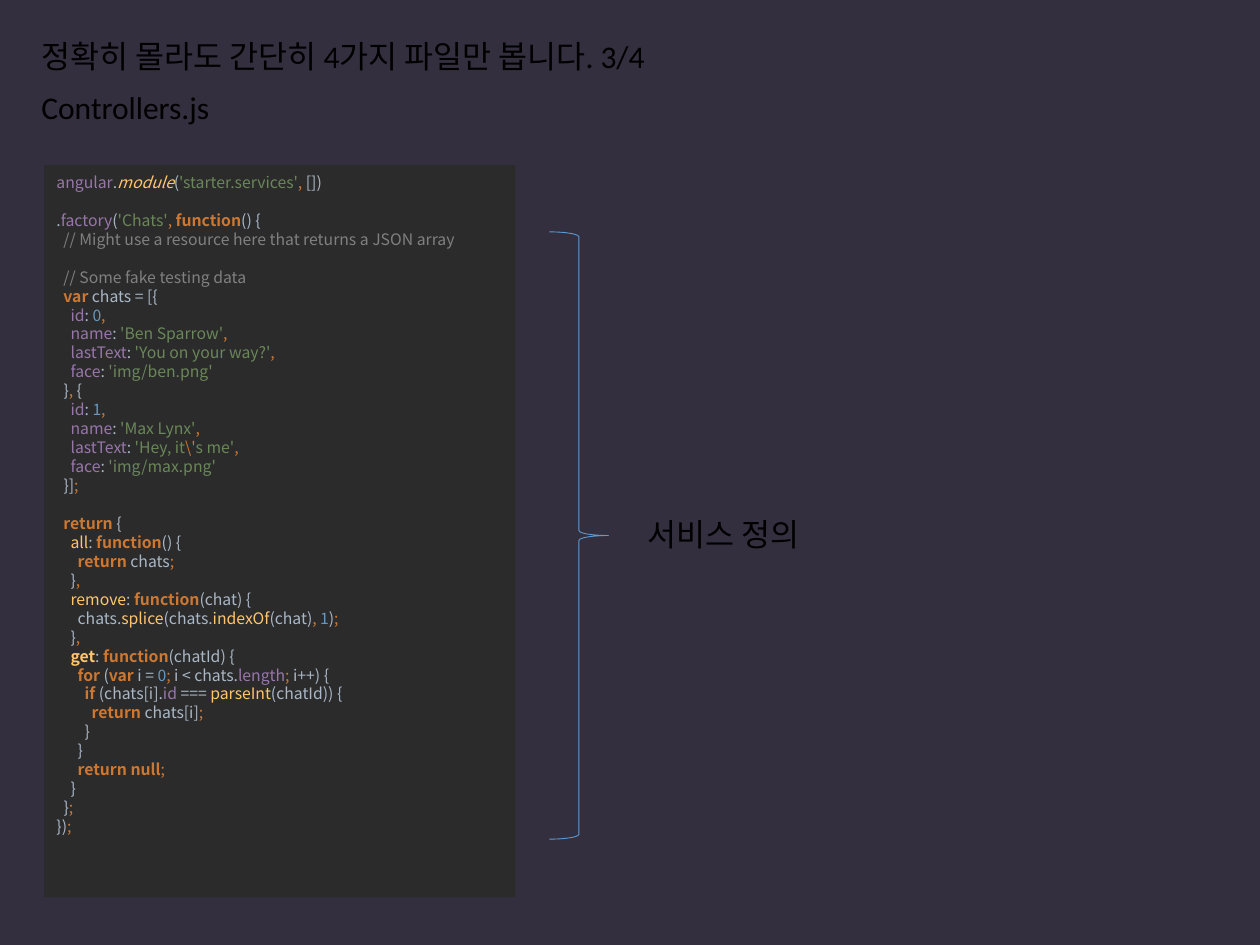
from pptx import Presentation
from pptx.dml.color import RGBColor
from pptx.enum.shapes import MSO_SHAPE
from pptx.enum.text import MSO_ANCHOR, PP_ALIGN
from pptx.util import Inches, Pt

RECTANGLE, RIGHT_BRACE = MSO_SHAPE.RECTANGLE, MSO_SHAPE.RIGHT_BRACE
TOP, LEFT = MSO_ANCHOR.TOP, PP_ALIGN.LEFT
COLUMNS, ROWS = 100, 75
COLORS = {"background": "332F3E", "panel": "2B2B2B", "text": "000000", "brace": "5B9BD5"}

# "~" and a letter switch the style of the code; each line starts plain.
SYNTAX = {
    "p": "9876AA",  # property
    "w": "A9B7C6",  # plain
    "i": "FFC66D",  # italic function
    "f": "FFC66D",  # function
    "g": "FFC66D",  # bold function
    "s": "6A8759",  # string
    "o": "CC7832",  # punctuation
    "k": "CC7832",  # keyword
    "c": "808080",  # comment
    "n": "6897BB",  # number
}
BOLD, ITALIC = "gk", "i"
CODE_LINES = [
    "~pangular~w.~imodule~w(~s'starter.services'~o, ~w[])",
    "",
    ".~pfactory~w(~s'Chats'~o, ~kfunction~w() {",
    "  ~c// Might use a resource here that returns a JSON array",
    "",
    "  ~c// Some fake testing data",
    "  ~kvar ~wchats = [{",
    "    ~pid~w: ~n0~o,",
    "    ~pname~w: ~s'Ben Sparrow'~o,",
    "    ~plastText~w: ~s'You on your way?'~o,",
    "    ~pface~w: ~s'img/ben.png'",
    "  }~o, ~w{",
    "    ~pid~w: ~n1~o,",
    "    ~pname~w: ~s'Max Lynx'~o,",
    r"    ~plastText~w: ~s'Hey, it~o\'~ss me'~o,",
    "    ~pface~w: ~s'img/max.png'",
    "  }]~o;",
    "",
    "  ~kreturn ~w{",
    "    ~fall~w: ~kfunction~w() {",
    "      ~kreturn ~wchats~o;",
    "    }~o,",
    "    ~fremove~w: ~kfunction~w(chat) {",
    "      chats.~fsplice~w(chats.~findexOf~w(chat)~o, ~n1~w)~o;",
    "    }~o,",
    "    ~gget~w: ~kfunction~w(chatId) {",
    "      ~kfor ~w(~kvar ~wi = ~n0~o; ~wi < chats.~plength~o; ~wi++) {",
    "        ~kif ~w(chats[i].~pid ~w=== ~fparseInt~w(chatId)) {",
    "          ~kreturn ~wchats[i]~o;",
    "        }",
    "      }",
    "      ~kreturn null~o;",
    "    }",
    "  }~o;",
    "})~o;",
]

presentation = Presentation()
presentation.slide_width, presentation.slide_height = Inches(10), Inches(7.5)
column = presentation.slide_width // COLUMNS
row = presentation.slide_height // ROWS


def cells(left, top, width, height):
    """Turn grid columns and rows into slide lengths."""
    return [round(left * column), round(top * row), round(width * column), round(height * row)]


def write_label(shape, text, wrap=True):
    text_frame = shape.text_frame
    text_frame.text = text
    text_frame.word_wrap = wrap
    text_frame.vertical_anchor = TOP
    paragraph = text_frame.paragraphs[0]
    paragraph.alignment = LEFT
    font = paragraph.runs[0].font
    font.name, font.size = "Calibri", Pt(18)
    font.color.rgb = RGBColor.from_string(COLORS["text"])


slide = presentation.slides.add_slide(presentation.slide_layouts[5])
slide.background.fill.solid()
slide.background.fill.fore_color.rgb = RGBColor.from_string(COLORS["background"])

title = slide.shapes.title
title.left, title.top, title.width, title.height = cells(2.3, 2.4, 58.4, 4)
write_label(title, "정확히 몰라도 간단히 4가지 파일만 봅니다. 3/4")

brace = slide.shapes.add_shape(RIGHT_BRACE, *cells(43.6, 18.4, 4.7, 48.2))
brace.shadow.inherit = False
brace.fill.background()
brace.line.color.rgb = RGBColor.from_string(COLORS["brace"])
brace.line.width = Pt(0.5)

write_label(slide.shapes.add_textbox(*cells(50.4, 40.4, 28, 4)), "서비스 정의")
write_label(slide.shapes.add_textbox(*cells(2.3, 6.5, 15.5, 4)), "Controllers.js", wrap=False)

panel = slide.shapes.add_shape(RECTANGLE, *cells(3.5, 13.1, 37.4, 58.1))
panel.shadow.inherit = False
panel.fill.solid()
panel.fill.fore_color.rgb = RGBColor.from_string(COLORS["panel"])
panel.line.fill.background()
panel.text_frame.word_wrap = False
panel.text_frame.vertical_anchor = TOP
panel.text_frame.margin_top = Inches(0.06)

paragraph = panel.text_frame.paragraphs[0]
paragraph.alignment = LEFT
paragraph.line_spacing = Pt(10.82)
for number, line in enumerate(CODE_LINES):
    if number:
        paragraph.add_line_break()
    for token in f"w{line}".split("~"):
        style, text = token[0], token[1:]
        if text:
            run = paragraph.add_run()
            run.text = text
            run.font.name, run.font.size = "Noto Sans CJK KR", Pt(9)
            run.font.bold, run.font.italic = style in BOLD, style in ITALIC
            run.font.color.rgb = RGBColor.from_string(SYNTAX[style])

presentation.save("out.pptx")
